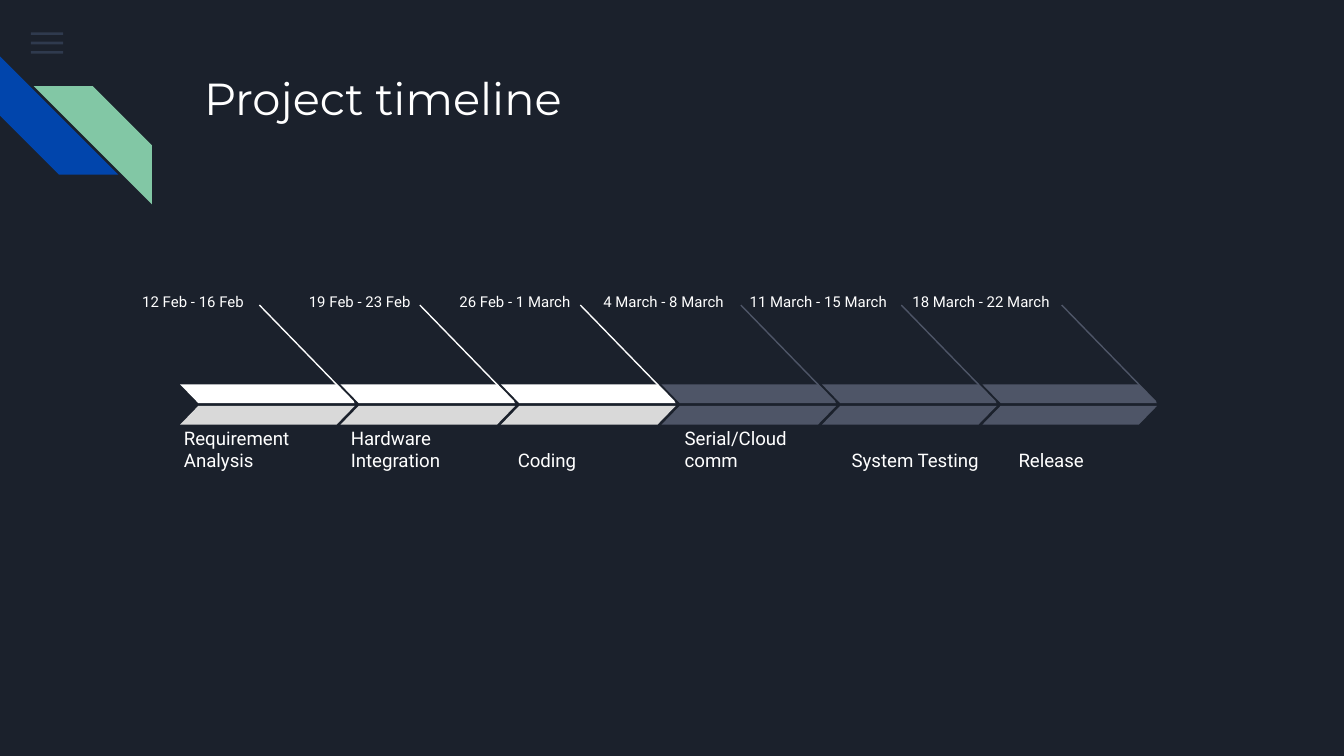
"""Build a project timeline slide."""
from collections import namedtuple

import pptx
import pptx.dml.color
import pptx.enum.shapes
import pptx.enum.text
import pptx.oxml.ns
import pptx.util
from lxml import etree

Inches = pptx.util.Inches
SHAPES = pptx.enum.shapes.MSO_SHAPE
ANCHORS = pptx.enum.text.MSO_ANCHOR
Box = namedtuple("Box", "left top width height")
Stage = namedtuple("Stage", "name dates date_left date_width done")

THEME = {
    "background": "1B212C", "text": "FFFFFF", "menu": "55688B",
    "blue": "0145AC", "green": "82C7A5",
    "done_top": "FFFFFF", "done_bottom": "D9D9D9", "pending": "4E5567",
    "title": {"name": "Montserrat", "size": pptx.util.Pt(24)},
    "date": {"name": "Roboto", "size": pptx.util.Pt(8)},
    "label": {"name": "Roboto", "size": pptx.util.Pt(10)},
}

STAGES = [
    Stage("Requirement Analysis", "12 Feb - 16 Feb", 0, 1.11, True),
    Stage("Hardware Integration", "19 Feb - 23 Feb", 1.24, 1.07, True),
    Stage("Coding", "26 Feb - 1 March", 2.36, 1.07, True),
    Stage("Serial/Cloud comm", "4 March - 8 March", 3.43, 1.19, False),
    Stage("System Testing", "11 March - 15 March", 4.52, 1.3, False),
    Stage("Release", "18 March - 22 March", 5.73, 1.28, False),
]


def color(name):
    """Return the theme colour with the given name."""
    return pptx.dml.color.RGBColor.from_string(THEME[name])


def add_shape(page, kind, box, fill, adjustment=None, flipped=False):
    """Add a plain filled shape, optionally mirrored left to right."""
    shape = page.shapes.add_shape(kind, *map(Inches, box))
    shape.shadow.inherit = False
    shape.fill.solid()
    shape.fill.fore_color.rgb = color(fill)
    shape.line.fill.background()
    if adjustment is not None:
        shape.adjustments[0] = adjustment
    if flipped:
        shape.element.spPr.xfrm.set("flipH", "1")
    return shape


def add_text(page, box, text, style, anchor=ANCHORS.TOP):
    """Add a wrapped, fixed-size text box in one of the theme's type styles."""
    frame = page.shapes.add_textbox(*map(Inches, box)).text_frame
    frame_format = {
        "word_wrap": True,
        "auto_size": pptx.enum.text.MSO_AUTO_SIZE.NONE,
        "vertical_anchor": anchor,
    }
    for side in ("left", "top", "right", "bottom"):
        frame_format[f"margin_{side}"] = Inches(0.1)
    for name, value in frame_format.items():
        setattr(frame, name, value)
    span = frame.paragraphs[0].add_run()
    span.text = text
    for name, value in THEME[style].items():
        setattr(span.font, name, value)
    span.font.color.rgb = color("text")


def add_leader(page, left, top, width, height, stroke):
    """Add a thin slanted line leading from a date to its bar."""
    ends = (left, top, left + width, top + height)
    line = page.shapes.add_connector(
        pptx.enum.shapes.MSO_CONNECTOR.STRAIGHT, *map(Inches, ends))
    line.line.width = pptx.util.Pt(0.75)
    line.line.color.rgb = color(stroke)
    etree.SubElement(line.element.spPr, pptx.oxml.ns.qn("a:effectLst"))


def add_menu(page, box):
    """Draw three translucent bars spread over the box."""
    thickness = 0.02
    gap = (box.height - thickness) / 2
    for row in range(3):
        place = Box(box.left, box.top + row * gap, box.width, thickness)
        bar = add_shape(page, SHAPES.RECTANGLE, place, "menu")
        tint = bar.element.spPr.find(".//" + pptx.oxml.ns.qn("a:srgbClr"))
        etree.SubElement(tint, pptx.oxml.ns.qn("a:alpha"), val="36000")


def add_stripes(page, box):
    """Draw the blue and green diagonal stripes in opposite corners."""
    size = 0.88
    blue = Box(box.left, box.top, size, size)
    green = Box(box.left + box.width - size, box.top + box.height - size, size, size)
    add_shape(page, SHAPES.DIAGONAL_STRIPE, blue, "blue", 0.5).rotation = 270
    add_shape(page, SHAPES.DIAGONAL_STRIPE, green, "green", 0.5, flipped=True)


def add_timeline(page, box, stages):
    """Place dates, labels, leaders and two-tone chevrons in the box."""
    bar_step = 5.97 / (len(stages) - 1)
    label_step = 6.21 / (len(stages) - 1)
    label_height = 0.44
    for index, stage in enumerate(stages):
        add_text(page, Box(box.left + stage.date_left, box.top, stage.date_width, 0.23),
                 stage.dates, "date")
        label = Box(box.left + 0.31 + index * label_step,
                    box.top + box.height - label_height, label_step, label_height)
        add_text(page, label, stage.name, "label", ANCHORS.BOTTOM)
    for index, stage in enumerate(stages):
        left = box.left + 0.38 + index * bar_step
        top_fill, bottom_fill = (
            ("done_top", "done_bottom") if stage.done else ("pending", "pending"))
        add_leader(page, left + 0.59, box.top + 0.19, 0.7, 0.72, top_fill)
        for offset, fill, flipped in ((0.78, top_fill, True), (0.94, bottom_fill, False)):
            add_shape(page, SHAPES.PARALLELOGRAM, Box(left, box.top + offset, 1.3, 0.14),
                      fill, 0.97, flipped)


def build():
    """Build and save the presentation."""
    deck = pptx.Presentation()
    deck.slide_width = Inches(10)
    deck.slide_height = deck.slide_width * 9 // 16
    page = deck.slides.add_slide(deck.slide_layouts[6])
    page.background.fill.solid()
    page.background.fill.fore_color.rgb = color("background")
    add_menu(page, Box(0.23, 0.24, 0.24, 0.16))
    add_stripes(page, Box(0, 0.42, 1.13, 1.1))
    add_text(page, Box(1.42, 0.43, 7.7, 1), "Project timeline", "title")
    add_timeline(page, Box(0.96, 2.08, 7.76, 1.53), STAGES)
    deck.save("out.pptx")


if __name__ == "__main__":
    build()
